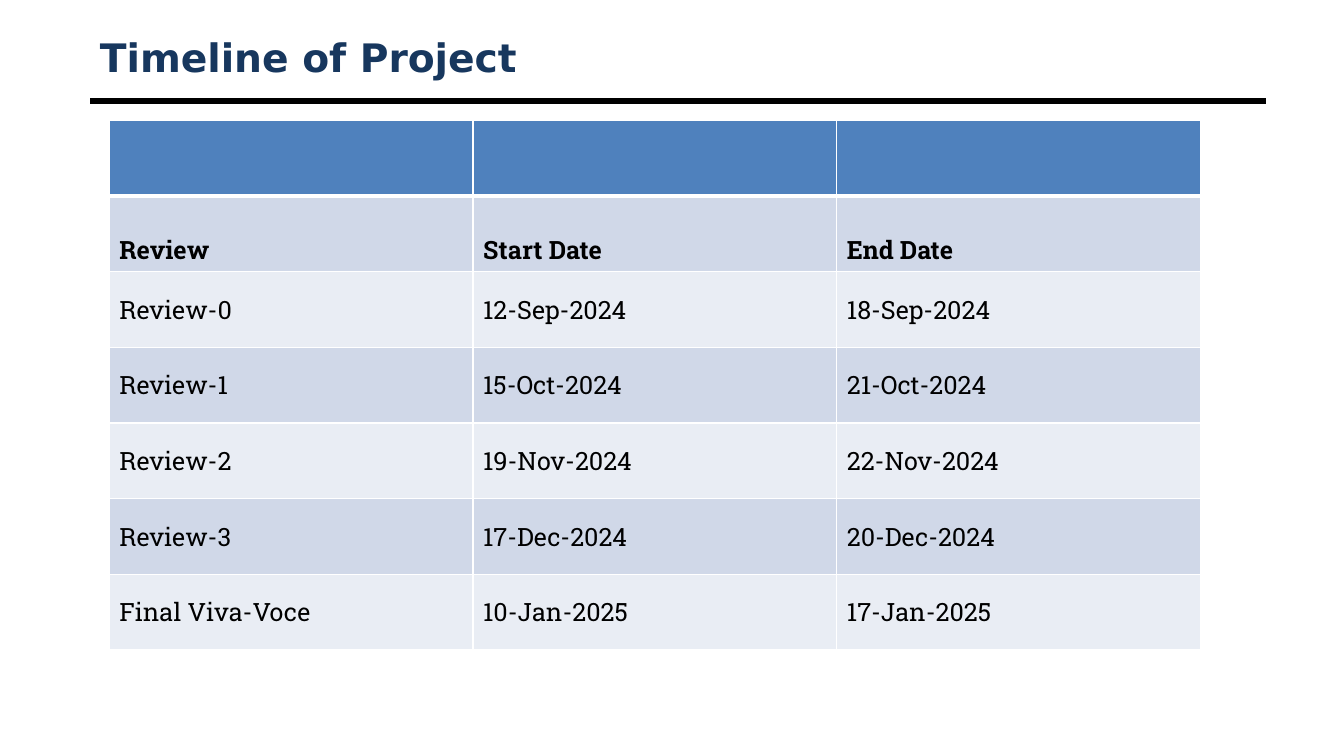
import pptx
import pptx.dml.color
import pptx.enum.shapes
import pptx.enum.text
import pptx.oxml.ns
import pptx.util
from lxml import etree

RGB = pptx.dml.color.RGBColor
ANCHOR = pptx.enum.text.MSO_ANCHOR

WHITE = RGB(0xFF, 0xFF, 0xFF)
BLACK = RGB(0x00, 0x00, 0x00)
NAVY = RGB(0x17, 0x37, 0x5E)
HEADER_BLUE = RGB(0x4F, 0x81, 0xBD)
BAND_DARK = RGB(0xD0, 0xD8, 0xE8)
BAND_LIGHT = RGB(0xE9, 0xED, 0xF4)

REVIEWS = [
    ("", "", ""),
    ("Review", "Start Date", "End Date"),
    ("Review-0", "12-Sep-2024", "18-Sep-2024"),
    ("Review-1", "15-Oct-2024", "21-Oct-2024"),
    ("Review-2", "19-Nov-2024", "22-Nov-2024"),
    ("Review-3", "17-Dec-2024", "20-Dec-2024"),
    ("Final Viva-Voce", "10-Jan-2025", "17-Jan-2025"),
]


def write(frame, text, font="Roboto Slab", size=18, color=BLACK, bold=False):
    run = frame.paragraphs[0].add_run()
    run.text = text
    run.font.name = font
    run.font.size = pptx.util.Pt(size)
    run.font.color.rgb = color
    run.font.bold = bold


def border(cell, side, width):
    properties = cell._tc.get_or_add_tcPr()
    edge = etree.SubElement(properties, pptx.oxml.ns.qn(f"a:ln{side}"),
                            w=str(pptx.util.Pt(width)))
    fill = etree.SubElement(edge, pptx.oxml.ns.qn("a:solidFill"))
    etree.SubElement(fill, pptx.oxml.ns.qn("a:srgbClr"), val=str(WHITE))


class TimelineSlide:
    """Places elements on a grid of 100 columns by 100 rows."""

    def __init__(self, deck):
        self.column = deck.slide_width / 100
        self.row = deck.slide_height / 100
        self.slide = deck.slides.add_slide(deck.slide_layouts[6])
        self.slide.background.fill.solid()
        self.slide.background.fill.fore_color.rgb = WHITE

    def place(self, left, top, width, height):
        return (round(left * self.column), round(top * self.row),
                round(width * self.column), round(height * self.row))

    def rule(self, left, right, top, width):
        x1, y, x2, _ = self.place(left, top, right, 0)
        rule = self.slide.shapes.add_connector(
            pptx.enum.shapes.MSO_CONNECTOR.STRAIGHT, x1, y, x2, y)
        rule.line.color.rgb = BLACK
        rule.line.width = pptx.util.Pt(width)
        etree.SubElement(rule._element.spPr, pptx.oxml.ns.qn("a:effectLst"))

    def title(self, text, *area):
        frame = self.slide.shapes.add_textbox(*self.place(*area)).text_frame
        frame.word_wrap = True
        frame.vertical_anchor = ANCHOR.MIDDLE
        write(frame, text, font="DejaVu Sans", size=28, color=NAVY, bold=True)

    def schedule(self, reviews, *area):
        table = self.slide.shapes.add_table(
            len(reviews), len(reviews[0]), *self.place(*area)).table
        for r, review in enumerate(reviews):
            for c, text in enumerate(review):
                cell = table.cell(r, c)
                # Borders: a thick line parts the header from the body
                for side in "LRTB":
                    under_header = (r, side) in ((0, "B"), (1, "T"))
                    border(cell, side, 3 if under_header else 1)
                # Fill and text
                cell.fill.solid()
                band = BAND_DARK if r % 2 else BAND_LIGHT
                cell.fill.fore_color.rgb = band if r else HEADER_BLUE
                cell.vertical_anchor = ANCHOR.BOTTOM if r == 1 else ANCHOR.MIDDLE
                if text:
                    write(cell.text_frame, text, bold=r == 1)


def main():
    deck = pptx.Presentation()
    deck.slide_width = pptx.util.Inches(13.33)
    deck.slide_height = pptx.util.Inches(7.5)
    timeline = TimelineSlide(deck)

    # Heading
    timeline.rule(6.7, 94.2, 13.33, 4.5)
    timeline.title("Timeline of Project", 6.7, 4, 87.5, 7.07)

    # Review dates
    timeline.schedule(REVIEWS, 8.13, 15.9, 81.2, 70.1)

    deck.save("out.pptx")


if __name__ == "__main__":
    main()
